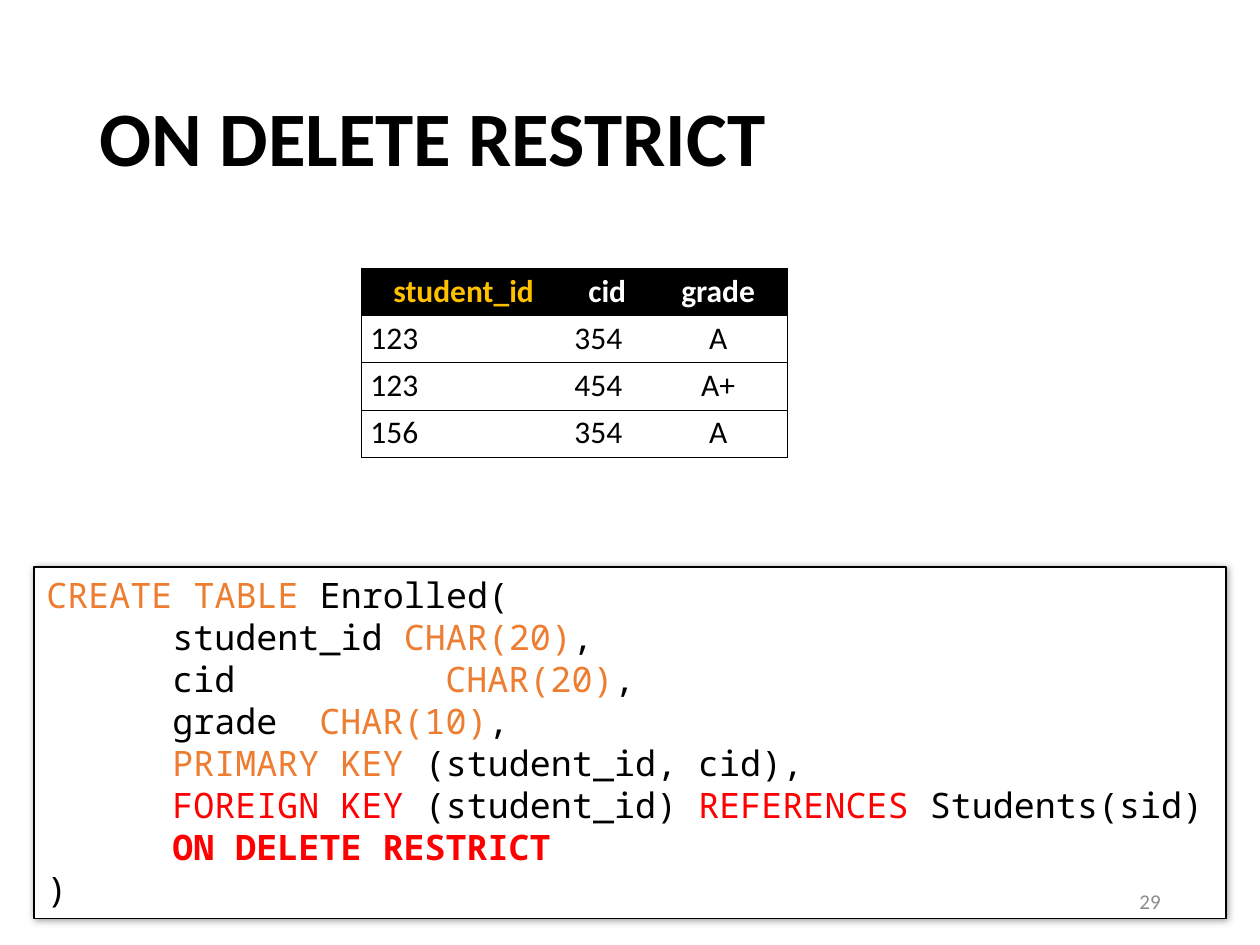
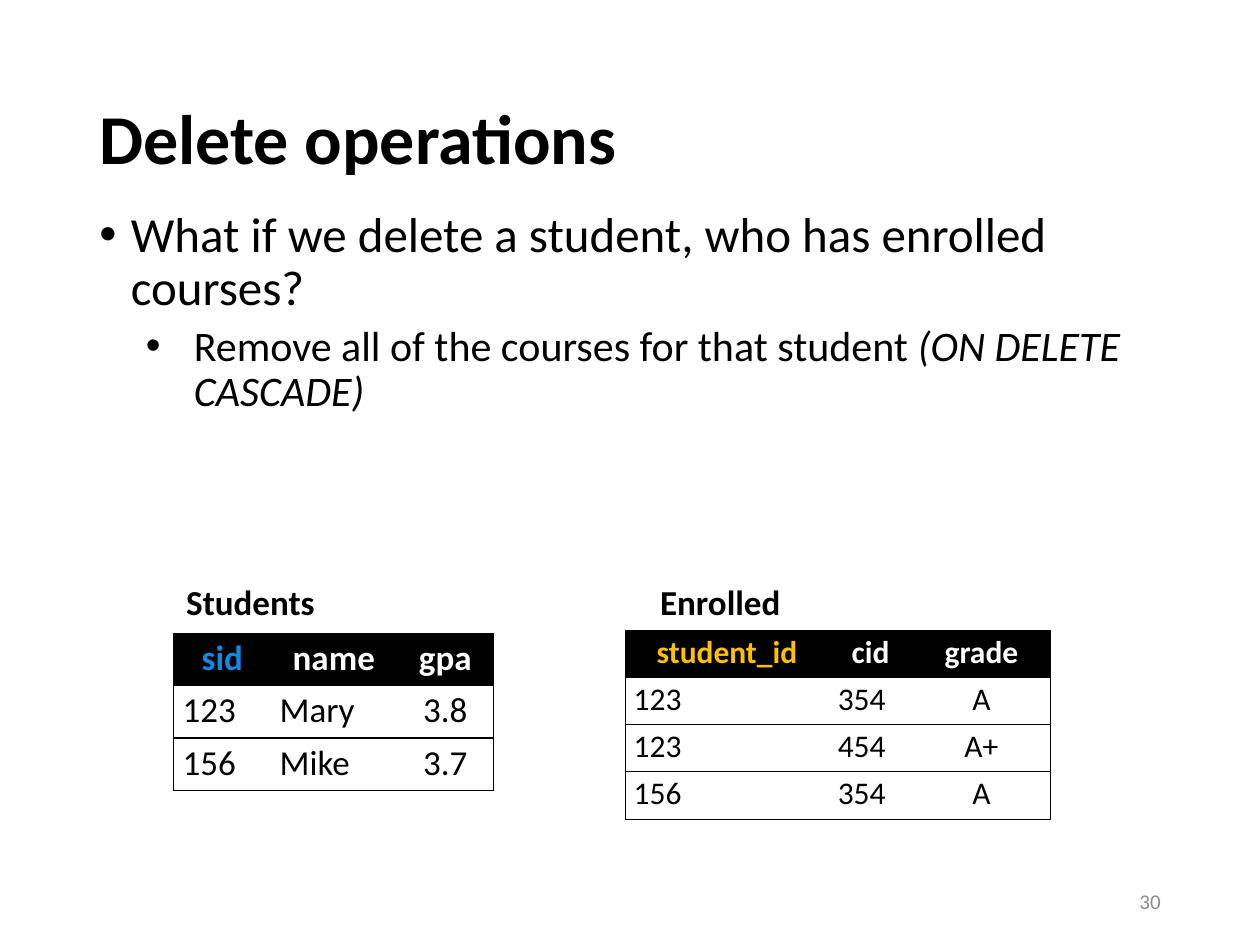
from dataclasses import dataclass

from lxml.etree import SubElement
from pptx import Presentation
from pptx.dml.color import RGBColor
from pptx.enum.shapes import MSO_SHAPE
from pptx.enum.text import MSO_ANCHOR, PP_ALIGN
from pptx.oxml.ns import qn
from pptx.util import Inches, Pt


@dataclass(frozen=True)
class Theme:
    """Colours, fonts and type sizes of the slides."""
    ink: str = "000000"
    paper: str = "FFFFFF"
    keyword: str = "ED7D31"
    alert: str = "FF0000"
    foreign_key: str = "FFC000"
    primary_key: str = "0F89E4"
    muted: str = "8C8C8C"
    sans: str = "Calibri"
    mono: str = "Noto Sans Mono"
    bullet_font: str = "Arial"
    title_caps: int = 44
    title: int = 40
    bullet: int = 28
    sub_bullet: int = 24
    code: int = 20
    caption: int = 20
    students: int = 20
    enrolled: int = 18
    footer: int = 12
    hairline: float = 0.5
    frame: float = 0.75


theme = Theme()


def write(paragraph, text, size, color=theme.ink, font=theme.sans,
          bold=False, italic=False, align=PP_ALIGN.LEFT):
    """Add a formatted run of text to a paragraph."""
    run = paragraph.add_run()
    run.text = text
    run.font.name = font
    run.font.size = Pt(size)
    run.font.bold = bold
    run.font.italic = italic
    run.font.color.rgb = RGBColor.from_string(color)
    paragraph.alignment = align


def add_relation(slide, left, top, height, widths, rows, size, key_color=None):
    """Add a ruled table; a key colour makes its first row a header."""
    grid = slide.shapes.add_table(
        len(rows), len(widths), Inches(left), Inches(top),
        Inches(sum(widths)), Inches(height)).table
    grid.first_row = key_color is not None
    grid.horz_banding = False
    last = len(widths) - 1
    for c, width in enumerate(widths):
        grid.columns[c].width = Inches(width)
    for r, row in enumerate(rows):
        grid.rows[r].height = Inches(height / len(rows))
        header = r == 0 and key_color is not None
        for c, value in enumerate(row):
            cell = grid.cell(r, c)
            cell.margin_left = cell.margin_right = Inches(0.07)
            cell.margin_top = cell.margin_bottom = Inches(0.03)
            borders = {"lnL": c == 0, "lnR": c == last, "lnT": True, "lnB": True}
            for side, visible in borders.items():
                line = SubElement(cell._tc.get_or_add_tcPr(), qn(f"a:{side}"),
                                  w=str(Pt(theme.hairline)))
                if visible:
                    solid = SubElement(line, qn("a:solidFill"))
                    SubElement(solid, qn("a:srgbClr"), val=theme.ink)
                else:
                    SubElement(line, qn("a:noFill"))
            cell.fill.solid()
            cell.fill.fore_color.rgb = RGBColor.from_string(
                theme.ink if header else theme.paper)
            color = theme.ink
            if header:
                color = key_color if c == 0 else theme.paper
            centred = header or c == last
            write(cell.text_frame.paragraphs[0], value, size, color, bold=header,
                  align=PP_ALIGN.CENTER if centred else PP_ALIGN.LEFT)


deck = Presentation()
deck.slide_width, deck.slide_height = Inches(10), Inches(7.5)
restrict, cascade = [deck.slides.add_slide(deck.slide_layouts[6]) for _ in range(2)]

# Titles
for slide, text, size in ((restrict, "ON DELETE RESTRICT", theme.title_caps),
                          (cascade, "Delete operations", theme.title)):
    title = slide.shapes.add_textbox(
        Inches(0.69), Inches(0.4), Inches(8.62), Inches(1.45)).text_frame
    title.word_wrap = True
    title.vertical_anchor = MSO_ANCHOR.MIDDLE
    title.paragraphs[0].line_spacing = 0.9
    write(title.paragraphs[0], text, size, bold=True)

# Slide 1: table definition
definition = restrict.shapes.add_shape(
    MSO_SHAPE.RECTANGLE, Inches(0.27), Inches(4.5), Inches(9.46), Inches(2.79))
definition.fill.solid()
definition.fill.fore_color.rgb = RGBColor.from_string(theme.paper)
definition.line.color.rgb = RGBColor.from_string(theme.ink)
definition.line.width = Pt(theme.frame)
definition.shadow.inherit = False
effects = definition._element.spPr.find(qn("a:effectLst"))
shadow = SubElement(effects, qn("a:outerShdw"), blurRad=str(Pt(4)),
                    dist=str(Pt(1)), dir=str(45 * 60000), algn="tl", rotWithShape="0")
shade = SubElement(shadow, qn("a:srgbClr"), val=theme.ink)
SubElement(shade, qn("a:alpha"), val="40000")

sql_lines = [
    [("CREATE TABLE ", theme.keyword), ("Enrolled(", theme.ink)],
    [("\tstudent_id", theme.ink), (" CHAR(20)", theme.keyword), (",", theme.ink)],
    [("\tcid", theme.ink), ("\t\t CHAR(20)", theme.keyword), (",", theme.ink)],
    [("\tgrade", theme.ink), ("\t CHAR(10)", theme.keyword), (",", theme.ink)],
    [("\tPRIMARY KEY ", theme.keyword), ("(student_id, cid),", theme.ink)],
    [("\tFOREIGN KEY ", theme.alert), ("(student_id) ", theme.ink),
     ("REFERENCES ", theme.alert), ("Students(sid)", theme.ink)],
    [("\tON DELETE RESTRICT", theme.alert)],
    [(")", theme.ink)],
]
sql = definition.text_frame
sql.word_wrap = False
sql.vertical_anchor = MSO_ANCHOR.TOP
for i, parts in enumerate(sql_lines):
    paragraph = sql.add_paragraph() if i else sql.paragraphs[0]
    tabs = SubElement(paragraph._p.get_or_add_pPr(), qn("a:tabLst"))
    for stop in (1, 2, 3):
        SubElement(tabs, qn("a:tab"), pos=str(Inches(stop)), algn="l")
    for text, color in parts:
        write(paragraph, text, theme.code, color, theme.mono,
              bold="ON DELETE" in text)

# Slide 2: question and answer
bullets = [
    (0.25, -0.25, 10, theme.bullet,
     [("What if we delete a student, who has enrolled courses?", False)]),
    (0.75, -0.38, 5, theme.sub_bullet,
     [("Remove all of the courses for that student ", False),
      ("(ON DELETE CASCADE)", True)]),
]
body = cascade.shapes.add_textbox(
    Inches(0.69), Inches(1.62), Inches(8.55), Inches(5.58)).text_frame
body.word_wrap = True
for level, (margin, indent, space, size, parts) in enumerate(bullets):
    paragraph = body.add_paragraph() if level else body.paragraphs[0]
    paragraph.level = level
    paragraph.line_spacing = 0.9
    paragraph.space_before = Pt(space)
    properties = paragraph._p.get_or_add_pPr()
    properties.set("marL", str(Inches(margin)))
    properties.set("indent", str(Inches(indent)))
    SubElement(properties, qn("a:buFont"), typeface=theme.bullet_font)
    SubElement(properties, qn("a:buChar"), char="•")
    for text, italic in parts:
        write(paragraph, text, size, italic=italic)

# Tables: on slide 2 the rows of student 156 stand apart
students_widths = (0.77, 1, 0.77)
students = [("sid", "name", "gpa"), ("123", "Mary", "3.8"), ("156", "Mike", "3.7")]
enrolled_widths = (1.62, 0.66, 1.1)
enrolled = [("student_id", "cid", "grade"), ("123", "354", "A"),
            ("123", "454", "A+"), ("156", "354", "A")]

add_relation(restrict, 2.87, 2.13, 1.5, enrolled_widths, enrolled,
             theme.enrolled, theme.foreign_key)
add_relation(cascade, 1.38, 5.03, 0.82, students_widths, students[:-1],
             theme.students, theme.primary_key)
add_relation(cascade, 1.38, 5.86, 0.41, students_widths, students[-1:],
             theme.students)
add_relation(cascade, 4.96, 5, 1.12, enrolled_widths, enrolled[:-1],
             theme.enrolled, theme.foreign_key)
add_relation(cascade, 4.96, 6.12, 0.38, enrolled_widths, enrolled[-1:],
             theme.enrolled)

for left, width, text in ((1.38, 1.23, "Students"), (5.14, 1.17, "Enrolled")):
    caption = cascade.shapes.add_textbox(
        Inches(left), Inches(4.56), Inches(width), Inches(0.44)).text_frame
    caption.word_wrap = False
    write(caption.paragraphs[0], text, theme.caption, bold=True)

# Page numbers
for number, slide in enumerate(deck.slides, start=29):
    footer = slide.shapes.add_textbox(
        Inches(7.06), Inches(6.95), Inches(2.25), Inches(0.4)).text_frame
    footer.word_wrap = True
    footer.vertical_anchor = MSO_ANCHOR.MIDDLE
    write(footer.paragraphs[0], str(number), theme.footer, theme.muted,
          align=PP_ALIGN.RIGHT)

deck.save("out.pptx")
